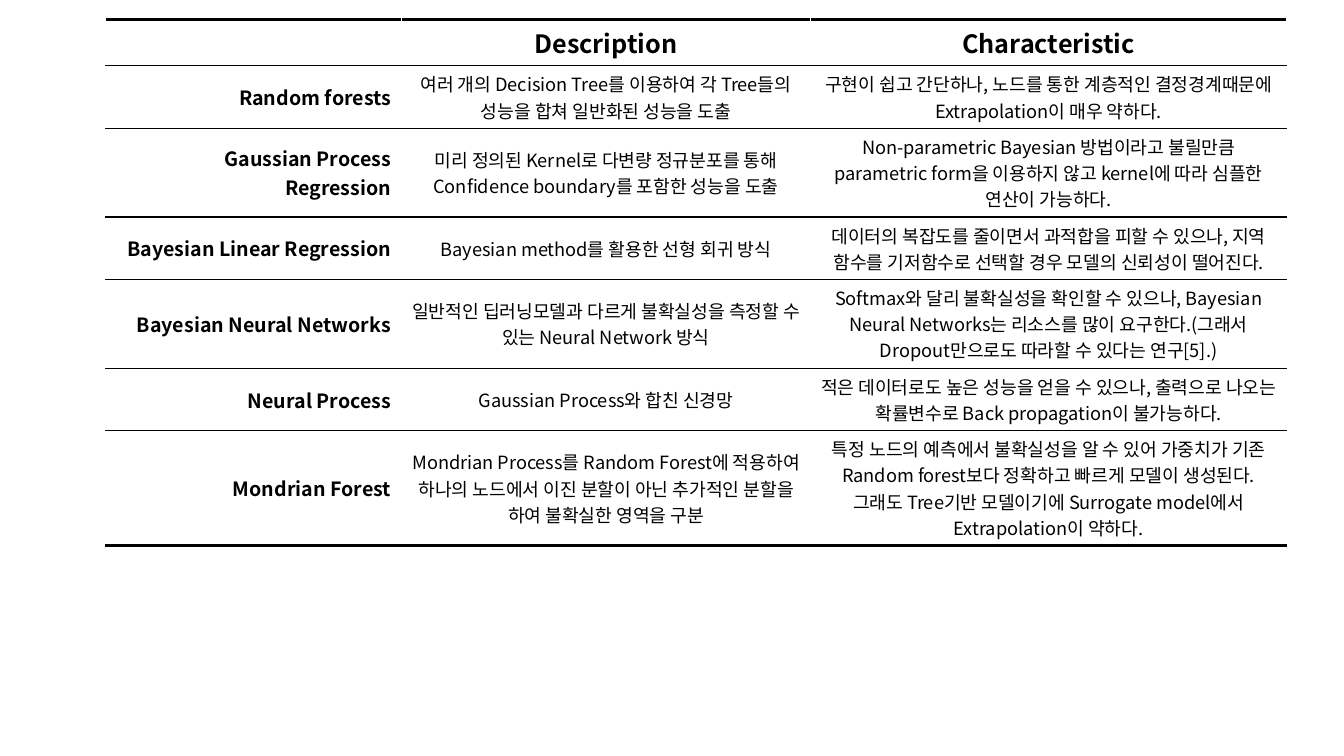
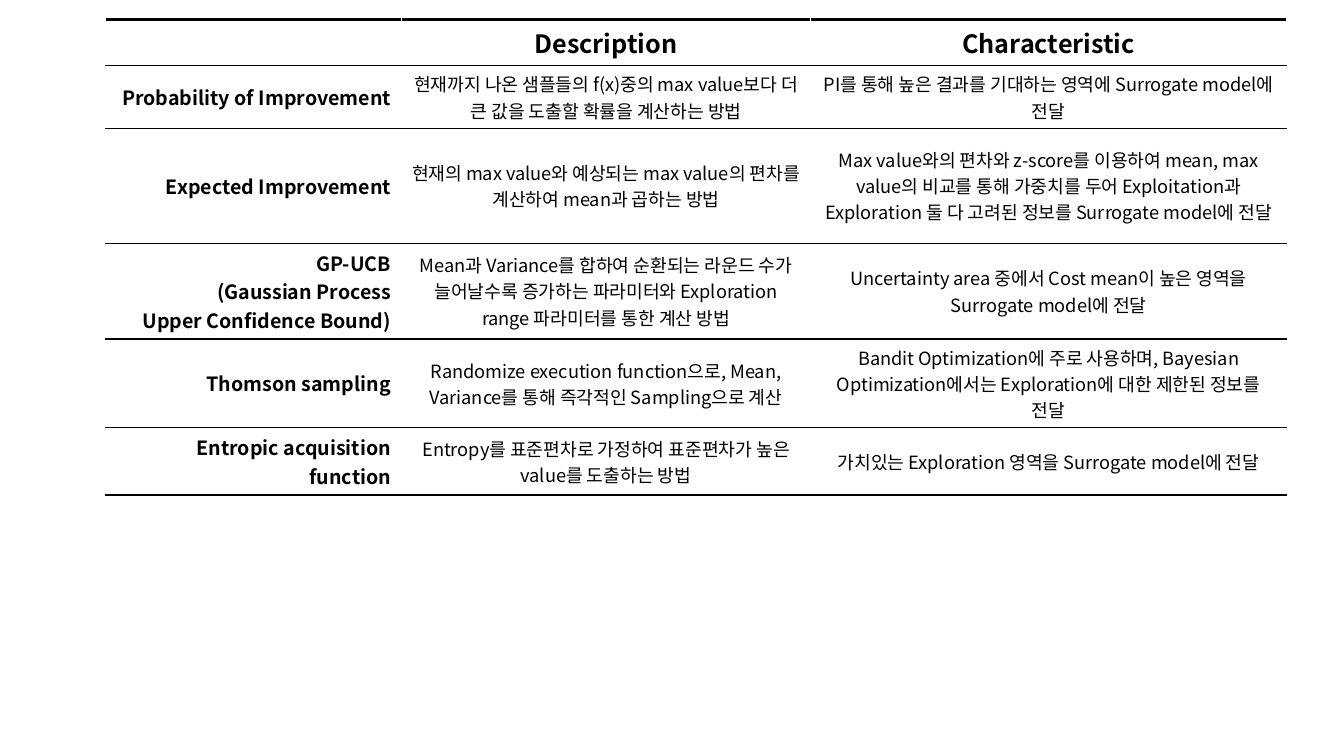
from lxml import etree
from pptx import Presentation
from pptx.dml.color import RGBColor
from pptx.enum import text
from pptx.oxml import ns
from pptx.util import Inches, Pt

BLACK = RGBColor(0x00, 0x00, 0x00)
WHITE = RGBColor(0xFF, 0xFF, 0xFF)
FONT = "Noto Sans CJK KR"
THIN, THICK = 1, 2.25

TABLE_BOX = (1.05, 0.19, 11.71)
COLUMN_WIDTHS = (2.93, 4.06, 4.72)
ROW_HEIGHT, TALL_ROW_HEIGHT, TALL_ROW = 0.41, 0.44, 2

HEADER = ("", "Description", "Characteristic")
HEADER_STYLE = {"size": Pt(18), "bold": True}
NAME_STYLE = {"size": Pt(14), "bold": True}
BODY_STYLE = {"size": Pt(13), "bold": False}

SURROGATE_MODELS = [
    ("Random forests",
     "여러 개의 Decision Tree를 이용하여 각 Tree들의 성능을 합쳐 일반화된 성능을 도출",
     "구현이 쉽고 간단하나, 노드를 통한 계층적인 결정경계때문에 Extrapolation이 매우 약하다."),
    ("Gaussian Process Regression",
     "미리 정의된 Kernel로 다변량 정규분포를 통해 Confidence boundary를 포함한 성능을 도출",
     "Non-parametric Bayesian 방법이라고 불릴만큼 parametric form을 이용하지 않고 "
     "kernel에 따라 심플한 연산이 가능하다."),
    ("Bayesian Linear Regression",
     "Bayesian method를 활용한 선형 회귀 방식",
     "데이터의 복잡도를 줄이면서 과적합을 피할 수 있으나, 지역 함수를 기저함수로 선택할 경우 "
     "모델의 신뢰성이 떨어진다."),
    ("Bayesian Neural Networks",
     "일반적인 딥러닝모델과 다르게 불확실성을 측정할 수 있는 Neural Network 방식",
     "Softmax와 달리 불확실성을 확인할 수 있으나, Bayesian Neural Networks는 리소스를 많이 "
     "요구한다.(그래서 Dropout만으로도 따라할 수 있다는 연구[5].)"),
    ("Neural Process",
     "Gaussian Process와 합친 신경망",
     "적은 데이터로도 높은 성능을 얻을 수 있으나, 출력으로 나오는 확률변수로 "
     "Back propagation이 불가능하다."),
    ("Mondrian Forest",
     "Mondrian Process를 Random Forest에 적용하여 하나의 노드에서 이진 분할이 아닌 "
     "추가적인 분할을 하여 불확실한 영역을 구분",
     "특정 노드의 예측에서 불확실성을 알 수 있어 가중치가 기존 Random forest보다 정확하고 "
     "빠르게 모델이 생성된다. 그래도 Tree기반 모델이기에 Surrogate model에서 "
     "Extrapolation이 약하다."),
]

ACQUISITION_FUNCTIONS = [
    ("Probability of Improvement",
     "현재까지 나온 샘플들의 f(x)중의 max value보다 더 큰 값을 도출할 확률을 계산하는 방법",
     "PI를 통해 높은 결과를 기대하는 영역에 Surrogate model에 전달"),
    ("Expected Improvement",
     "현재의 max value와 예상되는 max value의 편차를 계산하여 mean과 곱하는 방법",
     "Max value와의 편차와 z-score를 이용하여 mean, max value의 비교를 통해 가중치를 두어 "
     "Exploitation과 Exploration 둘 다 고려된 정보를 Surrogate model에 전달"),
    ("GP-UCB\n(Gaussian Process\nUpper Confidence Bound)",
     "Mean과 Variance를 합하여 순환되는 라운드 수가 늘어날수록 증가하는 파라미터와 "
     "Exploration range 파라미터를 통한 계산 방법",
     "Uncertainty area 중에서 Cost mean이 높은 영역을 Surrogate model에 전달"),
    ("Thomson sampling",
     "Randomize execution function으로, Mean, Variance를 통해 즉각적인 Sampling으로 계산",
     "Bandit Optimization에 주로 사용하며, Bayesian Optimization에서는 Exploration에 대한 "
     "제한된 정보를 전달"),
    ("Entropic acquisition function",
     "Entropy를 표준편차로 가정하여 표준편차가 높은 value를 도출하는 방법",
     "가치있는 Exploration 영역을 Surrogate model에 전달"),
]


def set_borders(cell, top, bottom):
    borders = {"lnL": (WHITE, THIN), "lnR": (WHITE, THIN),
               "lnT": (BLACK, top), "lnB": (BLACK, bottom)}
    properties = cell._tc.get_or_add_tcPr()
    for position, (side, (color, width)) in enumerate(borders.items()):
        line = etree.Element(ns.qn(f"a:{side}"), w=str(Pt(width)))
        fill = etree.SubElement(line, ns.qn("a:solidFill"))
        etree.SubElement(fill, ns.qn("a:srgbClr"), val=str(color))
        properties.insert(position, line)


def write_cell(cell, words, style, alignment):
    cell.text = words
    cell.vertical_anchor = text.MSO_ANCHOR.MIDDLE
    cell.fill.background()
    for para in cell.text_frame.paragraphs:
        para.alignment = alignment
        for span in para.runs:
            for name, value in {"name": FONT, **style}.items():
                setattr(span.font, name, value)
            span.font.color.rgb = BLACK
            etree.SubElement(span._r.get_or_add_rPr(), ns.qn("a:ea"), typeface=FONT)


def add_comparison_table(page, box, entries):
    left, top, width = box
    rows = [HEADER, *entries]
    heights = [TALL_ROW_HEIGHT if row == TALL_ROW else ROW_HEIGHT for row in range(len(rows))]
    frame = page.shapes.add_table(len(rows), len(HEADER), Inches(left), Inches(top),
                                  Inches(width), Inches(sum(heights)))
    table = frame.table
    table.first_row = table.horz_banding = False
    for column, column_width in zip(table.columns, COLUMN_WIDTHS):
        column.width = Inches(column_width)
    for row, (words_in_row, height) in enumerate(zip(rows, heights)):
        table.rows[row].height = Inches(height)
        for column, words in enumerate(words_in_row):
            is_name = row > 0 and column == 0
            style = HEADER_STYLE if row == 0 else NAME_STYLE if is_name else BODY_STYLE
            alignment = text.PP_ALIGN.RIGHT if is_name else text.PP_ALIGN.CENTER
            cell = table.cell(row, column)
            write_cell(cell, words, style, alignment)
            set_borders(cell, THICK if row == 0 else THIN,
                        THICK if row == len(rows) - 1 else THIN)


deck = Presentation()
deck.slide_width, deck.slide_height = Inches(13.33), Inches(7.5)
blank_layout = deck.slide_layouts.get_by_name("Blank")
for entries in (SURROGATE_MODELS, ACQUISITION_FUNCTIONS):
    add_comparison_table(deck.slides.add_slide(blank_layout), TABLE_BOX, entries)
deck.save("out.pptx")
